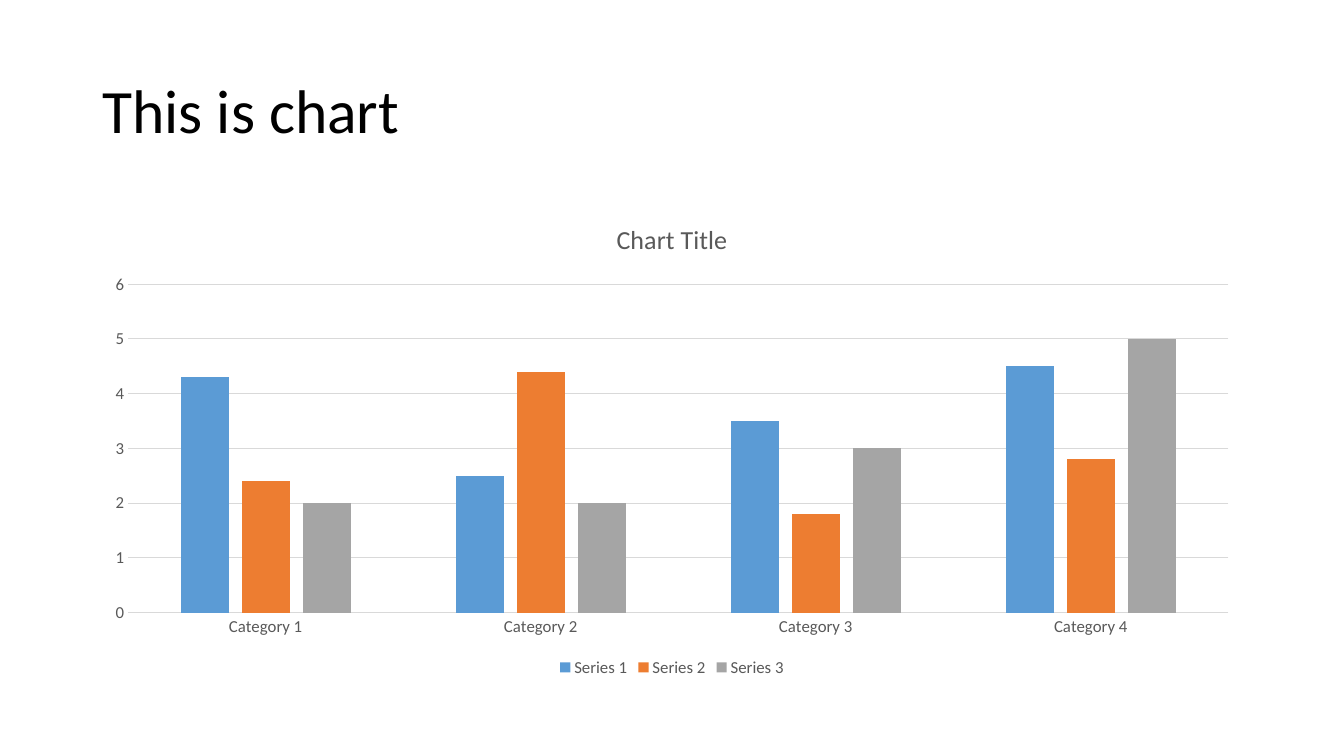
"""Build a slide with a title and a clustered column chart."""
from pptx import Presentation
from pptx.chart.data import CategoryChartData
from pptx.dml.color import RGBColor
from pptx.enum.chart import XL_CHART_TYPE, XL_LEGEND_POSITION, XL_TICK_MARK
from pptx.enum.text import MSO_ANCHOR, MSO_AUTO_SIZE, PP_ALIGN
from pptx.util import Cm, Pt

BLACK = RGBColor(0x00, 0x00, 0x00)
GREY_TEXT = RGBColor(0x59, 0x59, 0x59)
GREY_LINE = RGBColor(0xD9, 0xD9, 0xD9)
BLUE = RGBColor(0x5B, 0x9B, 0xD5)
ORANGE = RGBColor(0xED, 0x7D, 0x31)
GREY = RGBColor(0xA5, 0xA5, 0xA5)

TYPEFACE = "Calibri"
LEFT, WIDTH = Cm(2.33), Cm(29.21)
CATEGORIES = [f"Category {number}" for number in range(1, 5)]
SERIES = {
    "Series 1": ((4.3, 2.5, 3.5, 4.5), BLUE),
    "Series 2": ((2.4, 4.4, 1.8, 2.8), ORANGE),
    "Series 3": ((2, 2, 3, 5), GREY),
}


def apply_format(target, values):
    """Set each named attribute of the target."""
    for name, value in values.items():
        setattr(target, name, value)


def style_font(font, size, color):
    """Give a font its typeface, size and colour."""
    apply_format(font, {"name": TYPEFACE, "size": Pt(size), "bold": False})
    font.color.rgb = color


def style_line(line):
    """Draw a thin light grey line."""
    line.color.rgb = GREY_LINE
    line.width = Pt(0.75)


def fill_title(heading, text):
    """Place and format the slide title."""
    apply_format(heading, {"left": LEFT, "top": Cm(1.01),
                           "width": WIDTH, "height": Cm(3.68)})
    frame = heading.text_frame
    frame.text = text
    apply_format(frame, {"vertical_anchor": MSO_ANCHOR.MIDDLE, "word_wrap": True,
                         "auto_size": MSO_AUTO_SIZE.NONE})
    paragraph = frame.paragraphs[0]
    apply_format(paragraph, {"alignment": PP_ALIGN.LEFT, "line_spacing": 0.9})
    style_font(paragraph.runs[0].font, 44, BLACK)


def style_axes(chart):
    """Format the category and value axes and the gridlines."""
    for axis in (chart.category_axis, chart.value_axis):
        apply_format(axis, {"major_tick_mark": XL_TICK_MARK.NONE,
                            "minor_tick_mark": XL_TICK_MARK.NONE})
        style_font(axis.tick_labels.font, 12, GREY_TEXT)
    style_line(chart.category_axis.format.line)
    values = chart.value_axis
    apply_format(values, {"minimum_scale": 0, "maximum_scale": 6, "major_unit": 1,
                          "has_major_gridlines": True})
    values.format.line.fill.background()
    style_line(values.major_gridlines.format.line)


def add_columns(slide, caption):
    """Add the clustered column chart with its title and legend."""
    data = CategoryChartData()
    data.categories = CATEGORIES
    for name, (values, _) in SERIES.items():
        data.add_series(name, values)
    chart = slide.shapes.add_chart(XL_CHART_TYPE.COLUMN_CLUSTERED, LEFT, Cm(5.08),
                                   WIDTH, Cm(12.09), data).chart
    style_font(chart.font, 10, BLACK)
    apply_format(chart, {"has_title": True, "has_legend": True})
    chart.chart_title.include_in_layout = False
    heading = chart.chart_title.text_frame
    heading.text = caption
    style_font(heading.paragraphs[0].runs[0].font, 18.6, GREY_TEXT)
    apply_format(chart.legend, {"position": XL_LEGEND_POSITION.BOTTOM,
                                "include_in_layout": False})
    style_font(chart.legend.font, 12, GREY_TEXT)
    style_axes(chart)
    columns = chart.plots[0]
    apply_format(columns, {"gap_width": 219, "overlap": -27, "vary_by_categories": False})
    for series, (_, color) in zip(columns.series, SERIES.values()):
        series.format.fill.solid()
        series.format.fill.fore_color.rgb = color
        series.invert_if_negative = False


def main():
    """Build and save the presentation."""
    deck = Presentation()
    apply_format(deck, {"slide_width": Cm(33.87), "slide_height": Cm(19.05)})
    slide = deck.slides.add_slide(deck.slide_layouts.get_by_name("Title Only"))
    fill_title(slide.shapes.title, "This is chart")
    add_columns(slide, "Chart Title")
    deck.save("out.pptx")


if __name__ == "__main__":
    main()
